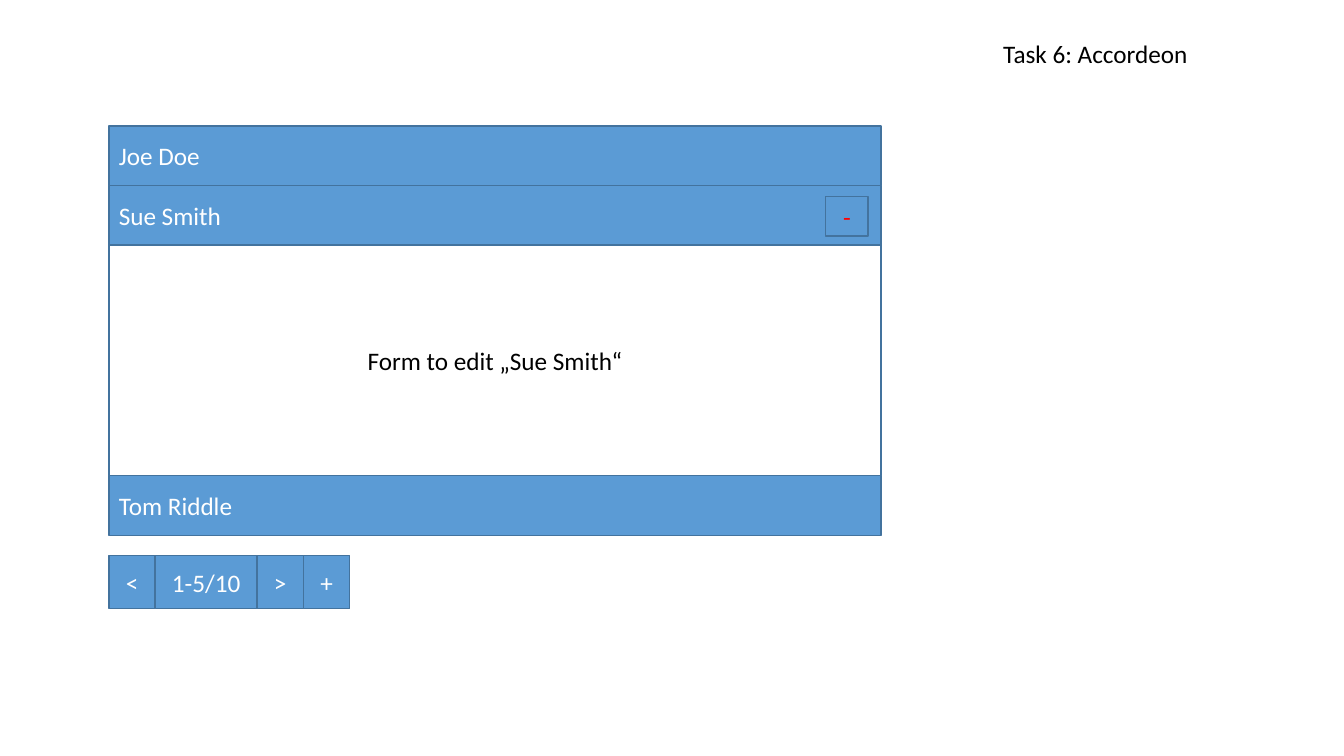
import pptx
import pptx.util
import pptx.dml.color
import pptx.enum.shapes
import pptx.enum.text

Inches = pptx.util.Inches
Pt = pptx.util.Pt
RGBColor = pptx.dml.color.RGBColor
PP_ALIGN = pptx.enum.text.PP_ALIGN
MSO_ANCHOR = pptx.enum.text.MSO_ANCHOR

BLUE = RGBColor(0x5B, 0x9B, 0xD5)
DARK_BLUE = RGBColor(0x43, 0x73, 0x9E)
WHITE = RGBColor(0xFF, 0xFF, 0xFF)
BLACK = RGBColor(0x00, 0x00, 0x00)
RED = RGBColor(0xFF, 0x00, 0x00)

LEFT, TOP, WIDTH = 1.08, 1.25, 7.66
HEADER_HEIGHT, FORM_HEIGHT = 0.59, 2.29
PAGER_TOP, PAGER_HEIGHT, BUTTON_WIDTH = 5.51, 0.53, 0.46

deck = pptx.Presentation()
deck.slide_width, deck.slide_height = Inches(13.33), Inches(7.5)
slide = deck.slides.add_slide(deck.slide_layouts[5])


def write(frame, text, color, align):
    frame.text = text
    frame.word_wrap = True
    paragraph = frame.paragraphs[0]
    paragraph.alignment = align
    paragraph.font.name = "Calibri"
    paragraph.font.size = Pt(18)
    paragraph.font.color.rgb = color


def add_box(left, top, width, height, text, fill=BLUE, color=WHITE, align=PP_ALIGN.CENTER):
    box = slide.shapes.add_shape(
        pptx.enum.shapes.MSO_SHAPE.RECTANGLE,
        Inches(left), Inches(top), Inches(width), Inches(height))
    box.shadow.inherit = False
    box.fill.solid()
    box.fill.fore_color.rgb = fill
    box.line.color.rgb = DARK_BLUE
    box.line.width = Pt(1)
    box.text_frame.vertical_anchor = MSO_ANCHOR.MIDDLE
    write(box.text_frame, text, color, align)


# Title
title = slide.shapes.title
title.left, title.top = Inches(9.85), Inches(0.33)
title.width, title.height = Inches(3.4), Inches(0.4)
title.text_frame.auto_size = pptx.enum.text.MSO_AUTO_SIZE.NONE
title.text_frame.vertical_anchor = MSO_ANCHOR.TOP
write(title.text_frame, "Task 6: Accordeon", BLACK, PP_ALIGN.LEFT)

# Accordion panels, stacked from the top
panels = [
    ("Joe Doe", HEADER_HEIGHT, BLUE, WHITE, PP_ALIGN.LEFT),
    ("Sue Smith", HEADER_HEIGHT, BLUE, WHITE, PP_ALIGN.LEFT),
    ("Form to edit „Sue Smith“", FORM_HEIGHT, WHITE, BLACK, PP_ALIGN.CENTER),
    ("Tom Riddle", HEADER_HEIGHT, BLUE, WHITE, PP_ALIGN.LEFT),
]
panel_top = TOP
for text, height, fill, color, align in panels:
    add_box(LEFT, panel_top, WIDTH, height, text, fill, color, align)
    panel_top += height

# Pager, running left to right
pager_left = LEFT
for text, width in [("<", BUTTON_WIDTH), ("1-5/10", 1.01), (">", BUTTON_WIDTH), ("+", BUTTON_WIDTH)]:
    add_box(pager_left, PAGER_TOP, width, PAGER_HEIGHT, text)
    pager_left += width

# Collapse button in the open panel's header
add_box(8.19, 1.95, 0.42, 0.39, "-", color=RED)

deck.save("out.pptx")
